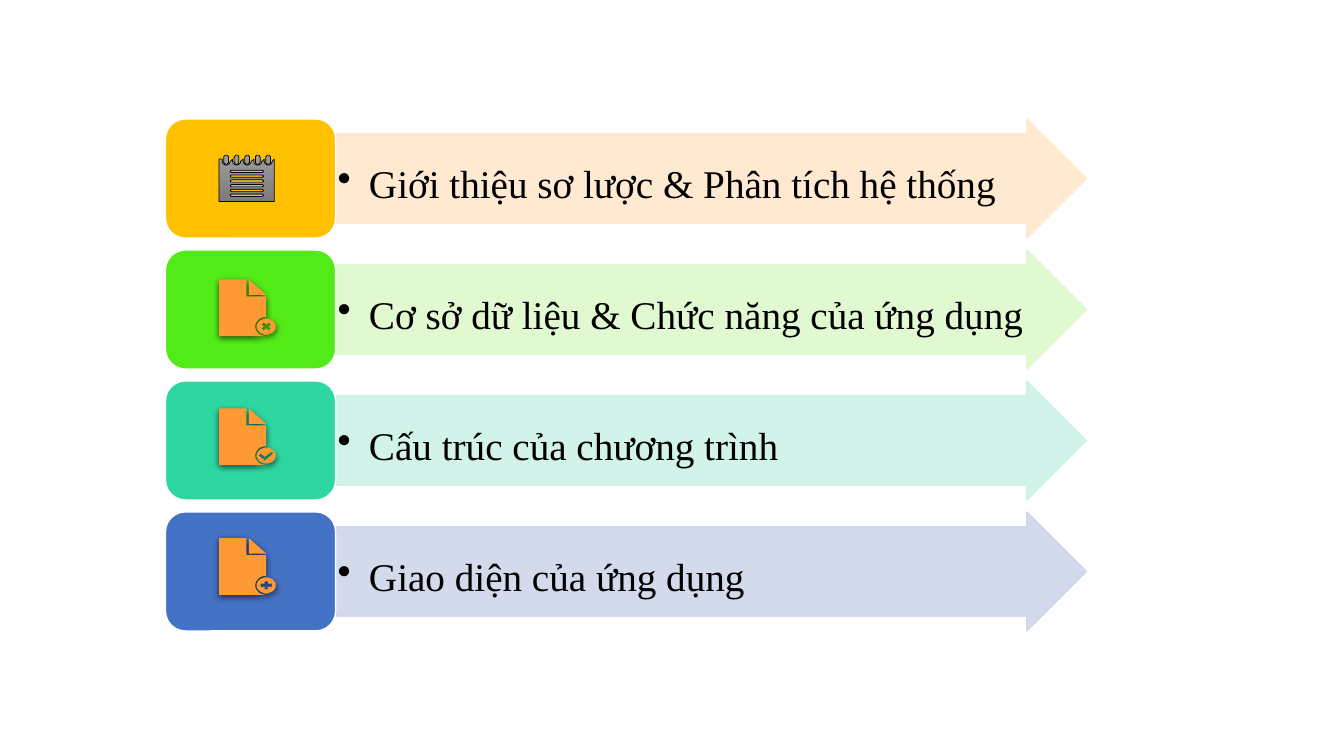
import math

from lxml import etree
from pptx import Presentation
from pptx.dml.color import RGBColor
from pptx.enum.shapes import MSO_SHAPE
from pptx.enum.text import MSO_ANCHOR, PP_ALIGN
from pptx.oxml.ns import qn
from pptx.util import Cm, Pt

ARROW = MSO_SHAPE.RIGHT_ARROW
TILE = MSO_SHAPE.ROUNDED_RECTANGLE
TOP = MSO_ANCHOR.TOP
LEFT = PP_ALIGN.LEFT
FONT = "Times New Roman"
UNIT = Cm(0.01)

COLORS = {
    "text": "000000",
    "outline": "FFFFFF",
    "document": "FF9933",
    "shadow": "000000",
    "page_top": "9D9D9D",
    "page_bottom": "7C7C7C",
    "page_line": "000000",
}

CROSS = [(-6, -10), (-12, -5), (-6, 0), (-12, 5), (-6, 10), (0, 5),
         (6, 10), (12, 5), (6, 0), (12, -5), (6, -10), (0, -5)]
CHECK = [(14, -10), (-3, 3), (-14, -5), (-19, 0), (-3, 13), (19, -7)]
PLUS = [(-4, -10), (-4, -4), (-14, -4), (-14, 4), (-4, 4), (-4, 10),
        (4, 10), (4, 4), (14, 4), (14, -4), (4, -4), (4, -10)]

TOPICS = [
    ("Giới thiệu sơ lược & Phân tích hệ thống", "FFC000", "FFE8CC", None, 0.91),
    ("Cơ sở dữ liệu & Chức năng của ứng dụng", "53EB17", "DDF9CC", CROSS, 0.74),
    ("Cấu trúc của chương trình", "2ED7A1", "CDF2E7", CHECK, 0.69),
    ("Giao diện của ứng dụng", "4472C4", "CFD6EA", PLUS, 0.66),
]


def rgb(color):
    return RGBColor.from_string(color)


def paint(shape, fill, line):
    shape.shadow.inherit = False
    shape.fill.solid()
    shape.fill.fore_color.rgb = rgb(fill)
    shape.line.color.rgb = rgb(line)
    shape.line.width = Pt(1)


def set_opacity(shape, percent):
    for color in shape._element.spPr.iter(qn("a:srgbClr")):
        etree.SubElement(color, qn("a:alpha"), val=str(percent * 1000))


def arc(center_x, center_y, radius_x, radius_y, start, end, steps=16):
    angles = [math.radians(start + (end - start) * i / steps) for i in range(steps + 1)]
    return [(center_x + radius_x * math.cos(a), center_y + radius_y * math.sin(a))
            for a in angles]


def add_outline(slide, left, top, contours):
    builder = slide.shapes.build_freeform(*contours[0][0], scale=UNIT)
    builder.add_line_segments(contours[0][1:], close=True)
    for contour in contours[1:]:
        builder.move_to(*contour[0])
        builder.add_line_segments(contour[1:], close=True)
    shape = builder.convert_to_shape(left, top)
    shape.shadow.inherit = False
    return shape


def add_notebook(slide, left, top):
    ring_centers = [18 + 26.5 * i for i in range(5)]
    page = [(0, 10)]
    for x in ring_centers:
        page += [(x - 10, 10)] + arc(x, 16, 10, 9, 180, 0)
    page += [(139, 10), (139, 117), (0, 117)]
    rings = [arc(x, 6, 6, 6, 180, 360) + arc(x, 17, 6, 6, 0, 180) for x in ring_centers]
    slots = [arc(31, y, 3, 2.5, 90, 270) + arc(109, y, 3, 2.5, 270, 450)
             for y in range(41, 102, 12)]
    notebook = add_outline(slide, left, top, [page] + slots + rings)
    notebook.fill.gradient()
    notebook.fill.gradient_angle = 270
    for stop, name in zip(notebook.fill.gradient_stops, ("page_top", "page_bottom")):
        stop.color.rgb = rgb(COLORS[name])
    notebook.line.color.rgb = rgb(COLORS["page_line"])
    notebook.line.width = Pt(0.5)


def add_document(slide, left, top, glyph):
    center = 119
    body = [(0, 0), (69, 0), (69, 43), (center, 43)]
    body += arc(center, center, 28, 24, 270, 90) + [(0, 143)]
    fold = [(75, 0), (center, 39), (75, 39)]
    badge = arc(center, center, 24, 20, 0, 360, 32)
    mark = [(center + x, center + y) for x, y in glyph]
    document = add_outline(slide, left, top, [body, fold, badge, mark])
    document.fill.solid()
    document.fill.fore_color.rgb = rgb(COLORS["document"])
    document.line.fill.background()
    effects = document._element.spPr.find(qn("a:effectLst"))
    shadow = etree.SubElement(effects, qn("a:outerShdw"), blurRad=str(Pt(4.5)),
                              dist=str(Pt(1.5)), dir="5400000", rotWithShape="0")
    color = etree.SubElement(shadow, qn("a:srgbClr"), val=COLORS["shadow"])
    etree.SubElement(color, qn("a:alpha"), val="63000")


def write_bullet(shape, text):
    frame = shape.text_frame
    frame.word_wrap = True
    frame.vertical_anchor = TOP
    frame.margin_left = frame.margin_right = Cm(0.05)
    frame.margin_top = frame.margin_bottom = Cm(0.05)
    paragraph = frame.paragraphs[0]
    paragraph.alignment = LEFT
    paragraph.line_spacing = 1.5
    paragraph.space_after = Pt(4)
    properties = paragraph._p.get_or_add_pPr()
    properties.set("marL", str(Cm(0.79)))
    properties.set("indent", str(-Cm(0.79)))
    etree.SubElement(properties, qn("a:buChar"), char="•")
    run = paragraph.add_run()
    run.text = text
    run.font.name = FONT
    run.font.size = Pt(28)
    run.font.color.rgb = rgb(COLORS["text"])


def add_topic(slide, left, top, width, height, topic):
    text, tile_color, arrow_color, glyph, icon_offset = topic
    tile_width = Cm(4.29)
    arrow = slide.shapes.add_shape(ARROW, left + tile_width, top, width - tile_width, height)
    arrow.adjustments[0] = 0.75
    arrow.adjustments[1] = 0.5
    paint(arrow, arrow_color, arrow_color)
    set_opacity(arrow, 90)
    write_bullet(arrow, text)
    tile = slide.shapes.add_shape(TILE, left, top, tile_width, height)
    paint(tile, tile_color, COLORS["outline"])
    icon_left, icon_top = left + Cm(1.35), top + Cm(icon_offset)
    if glyph:
        add_document(slide, icon_left, icon_top, glyph)
    else:
        add_notebook(slide, icon_left, icon_top)


def main():
    presentation = Presentation()
    presentation.slide_width = Cm(33.87)
    presentation.slide_height = Cm(19.05)
    slide = presentation.slides.add_slide(presentation.slide_layouts[6])
    for index, topic in enumerate(TOPICS):
        add_topic(slide, Cm(4.17), Cm(3 + 3.3 * index), Cm(23.21), Cm(3), topic)
    presentation.save("out.pptx")


if __name__ == "__main__":
    main()
